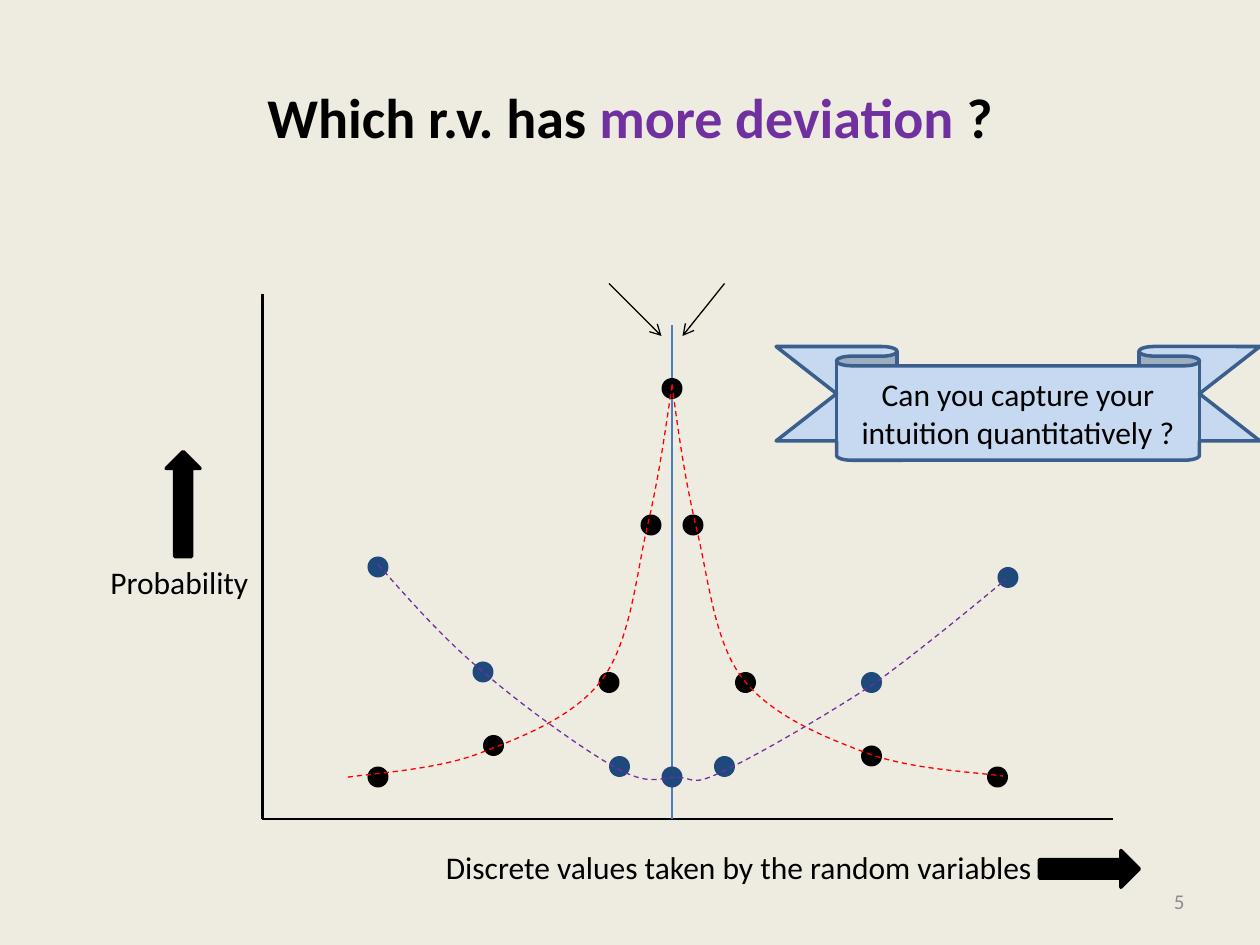
from typing import NamedTuple

from lxml import etree
from pptx import Presentation, util as u
from pptx.dml.color import RGBColor
from pptx.enum import dml, shapes as s, text as t
from pptx.oxml import ns

BLACK = RGBColor(0x00, 0x00, 0x00)
CREAM = RGBColor(0xEE, 0xEC, 0xE1)
PURPLE = RGBColor(0x70, 0x30, 0xA0)
RED = RGBColor(0xFF, 0x00, 0x00)
NAVY = RGBColor(0x1F, 0x49, 0x7D)
BLUE = RGBColor(0x4B, 0x7E, 0xBC)
PALE_BLUE = RGBColor(0xC6, 0xD9, 0xF1)
STEEL = RGBColor(0x3A, 0x5F, 0x8C)
GRAY = RGBColor(0x8C, 0x8C, 0x8C)

FONT = "Calibri"
DOT_SIZE = 12
Point = tuple[float, float]


class Box(NamedTuple):
    left: float
    top: float
    width: float
    height: float

    def lengths(self) -> list[u.Pt]:
        return [u.Pt(value) for value in self]


class Line(NamedTuple):
    start: Point
    end: Point
    color: RGBColor
    width: float
    arrow: bool = False


class Curve(NamedTuple):
    """Start point, then two control points and an end point per segment."""
    points: list[Point]
    height: float
    color: RGBColor


class Distribution(NamedTuple):
    dot_color: RGBColor
    dots: list[Point]
    curves: list[Curve]


LINES = [
    Line((150, 168), (150, 468), BLACK, 1.5),
    Line((636, 468), (150, 468), BLACK, 1.5),
    Line((384, 186), (384, 468), BLUE, 0.75),
]
MEAN_ARROWS = [
    Line((348, 162), (378, 192), BLACK, 0.75, arrow=True),
    Line((414, 162), (390, 192), BLACK, 0.75, arrow=True),
]
PEAKED = Distribution(
    BLACK,
    [(366, 294), (342, 384), (276, 420), (492, 426), (390, 294),
     (420, 384), (378, 216), (210, 438), (564, 438)],
    [Curve([(384, 219.6), (387.4, 245.5), (391, 271.4), (397.4, 299.5),
            (404.6, 327.6), (407.5, 365.8), (424.1, 387.4),
            (440.6, 409), (470.9, 421.2), (496.1, 430.6),
            (521.3, 439.9), (560.2, 441.4), (573.1, 443.5)], 223.9, RED),
     Curve([(384, 220.3), (380.2, 246.2), (376.6, 272.2), (370.1, 300.2),
            (363.6, 327.6), (360.7, 365.8), (344.2, 388.1),
            (328.3, 409.7), (298.1, 421.2), (273.6, 430.6),
            (249.1, 439.9), (211, 442.1), (198, 444.2)], 223.9, RED)],
)
SPREAD = Distribution(
    NAVY,
    [(408, 432), (378, 438), (348, 432), (270, 378), (210, 318),
     (492, 384), (570, 324)],
    [Curve([(216, 322.6), (234, 342.7), (252, 363.6), (275, 383),
            (297.4, 402.5), (334.1, 429.1), (352.8, 439.2),
            (371.5, 449.3), (376.6, 444.2), (386.6, 444.2),
            (396.7, 444.2), (394.6, 450), (413.3, 440.6),
            (432, 432), (471.6, 409), (499, 391),
            (525.6, 372.2), (574.6, 331.2), (574.6, 331.2)], 123.8, PURPLE)],
)


def add_line(shapes, line: Line) -> None:
    connector = shapes.add_connector(
        s.MSO_CONNECTOR.STRAIGHT, *map(u.Pt, line.start + line.end))
    connector.line.color.rgb = line.color
    connector.line.width = u.Pt(line.width)
    if line.arrow:
        etree.SubElement(connector.line._get_or_add_ln(),
                         ns.qn("a:tailEnd"), type="arrow")
    etree.SubElement(connector._element.spPr, ns.qn("a:effectLst"))


def add_preset(shapes, kind: s.MSO_SHAPE, box: Box, fill: RGBColor,
               outline: RGBColor | None = None):
    shape = shapes.add_shape(kind, *box.lengths())
    shape.shadow.inherit = False
    shape.fill.solid()
    shape.fill.fore_color.rgb = fill
    if outline is None:
        shape.line.fill.background()
    else:
        shape.line.color.rgb = outline
        shape.line.width = u.Pt(2)
    return shape


def write(frame, runs: list[tuple[str, RGBColor]], size: float,
          align: t.PP_ALIGN, bold: bool = False) -> None:
    paragraph = frame.paragraphs[0]
    paragraph.alignment = align
    paragraph.font.name = FONT
    paragraph.font.size = u.Pt(size)
    paragraph.font.bold = bold
    for words, color in runs:
        run = paragraph.add_run()
        run.text = words
        run.font.color.rgb = color


def add_text(shapes, box: Box, runs: list[tuple[str, RGBColor]],
             size: float, align: t.PP_ALIGN, wrap: bool = True,
             anchor: t.MSO_ANCHOR = t.MSO_ANCHOR.MIDDLE,
             bold: bool = False) -> None:
    frame = shapes.add_textbox(*box.lengths()).text_frame
    frame.word_wrap = wrap
    frame.vertical_anchor = anchor
    write(frame, runs, size, align, bold)


def add_curve(shapes, curve: Curve) -> None:
    """Build a freeform through the end points, then bend its segments."""
    points = [(u.Pt(x), u.Pt(y)) for x, y in curve.points]
    builder = shapes.build_freeform(*points[0])
    builder.add_line_segments(points[3::3], close=False)
    shape = builder.convert_to_shape()
    path = shape._element.find(f".//{ns.qn('a:path')}")
    for index, segment in enumerate(path.findall(ns.qn("a:lnTo"))):
        bend = etree.Element(ns.qn("a:cubicBezTo"))
        for x, y in points[3 * index + 1:3 * index + 4]:
            etree.SubElement(bend, ns.qn("a:pt"),
                             x=str(x - shape.left), y=str(y - shape.top))
        path.replace(segment, bend)
    shape.height = u.Pt(curve.height)
    path.set("h", str(shape.height))
    shape.shadow.inherit = False
    shape.fill.background()
    shape.line.color.rgb = curve.color
    shape.line.width = u.Pt(0.75)
    shape.line.dash_style = dml.MSO_LINE.DASH


def add_distribution(slide, distribution: Distribution) -> None:
    group = slide.shapes.add_group_shape()
    for left, top in distribution.dots:
        add_preset(group.shapes, s.MSO_SHAPE.OVAL,
                   Box(left, top, DOT_SIZE, DOT_SIZE), distribution.dot_color)
    for curve in distribution.curves:
        add_curve(group.shapes, curve)


def add_axis_label(slide, words: str, box: Box, arrow_box: Box,
                   rotation: float = 0) -> None:
    group = slide.shapes.add_group_shape()
    add_text(group.shapes, box, [(words, BLACK)], 18, t.PP_ALIGN.LEFT,
             wrap=False, anchor=t.MSO_ANCHOR.TOP)
    arrow = add_preset(group.shapes, s.MSO_SHAPE.UP_ARROW, arrow_box, BLACK, BLACK)
    arrow.rotation = rotation


def add_ribbon(slide, words: str, box: Box) -> None:
    ribbon = add_preset(slide.shapes, s.MSO_SHAPE.DOWN_RIBBON, box, PALE_BLUE, STEEL)
    ribbon.adjustments[0] = 0.17
    ribbon.adjustments[1] = 0.75
    ribbon.text_frame.word_wrap = True
    ribbon.text_frame.vertical_anchor = t.MSO_ANCHOR.MIDDLE
    write(ribbon.text_frame, [(words, BLACK)], 18, t.PP_ALIGN.CENTER)


def main() -> None:
    presentation = Presentation()
    presentation.slide_width, presentation.slide_height = u.Pt(720), u.Pt(540)
    slide = presentation.slides.add_slide(presentation.slide_layouts[6])
    slide.background.fill.solid()
    slide.background.fill.fore_color.rgb = CREAM

    title = [("Which r.v. has ", BLACK), ("more deviation ", PURPLE), ("?", BLACK)]
    add_text(slide.shapes, Box(36, 21.6, 648, 90), title, 32, t.PP_ALIGN.CENTER, bold=True)
    add_text(slide.shapes, Box(516, 500.5, 168, 28.75), [("5", GRAY)], 12, t.PP_ALIGN.RIGHT)
    for line in LINES:
        add_line(slide.shapes, line)
    add_distribution(slide, PEAKED)
    add_axis_label(slide, "Probability", Box(56, 318, 94.3, 29), Box(95, 258, 19.4, 60))
    add_axis_label(slide, "Discrete values taken by the random variables",
                   Box(247.7, 481, 353.5, 29), Box(612, 468, 21, 57), rotation=90)
    add_distribution(slide, SPREAD)
    for line in MEAN_ARROWS:
        add_line(slide.shapes, line)
    add_ribbon(slide, "Can you capture your intuition quantitatively ?",
               Box(443.5, 198, 276.5, 65))
    presentation.save("out.pptx")


if __name__ == "__main__":
    main()
